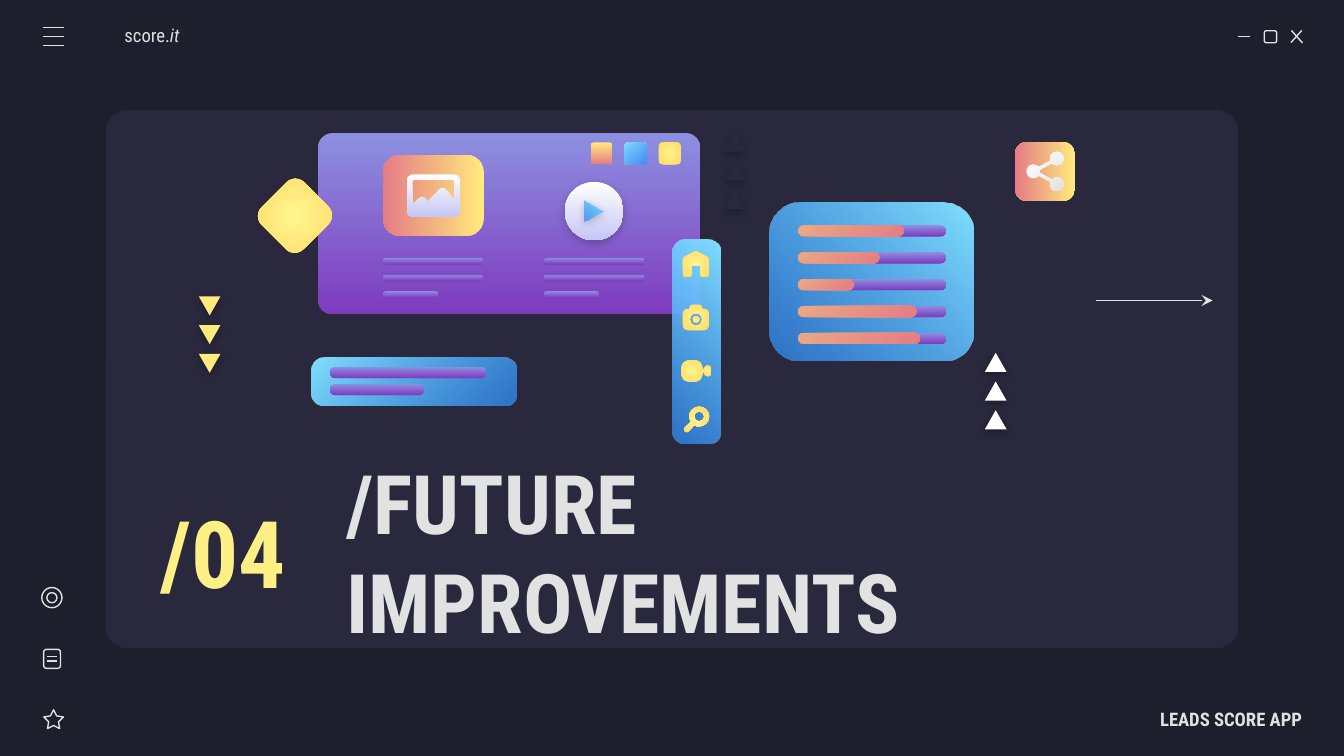
from lxml.etree import SubElement
from pptx import Presentation
from pptx.dml.color import RGBColor
from pptx.enum.shapes import MSO_CONNECTOR, MSO_SHAPE
from pptx.enum.text import MSO_ANCHOR, MSO_AUTO_SIZE, PP_ALIGN
from pptx.oxml.ns import qn
from pptx.util import Pt

COLORS = {"night": "1E1E2C", "panel": "29283D", "light": "E2E2E2", "lemon": "FFF086",
          "yellow": "FFEA7D", "white": "FFFFFF", "black": "000000"}
# Start colour, end colour, angle (None is radial), opacity of the end in percent
GRADIENTS = {
    "violet": ("8D90E1", "7E3BBE", 90, 100),
    "sunset": ("FFEA7D", "E57C85", 90, 100),
    "sky": ("80DFFF", "318FFA", 45, 72),
    "coral": ("E9A984", "E57C85", 45, 100),
    "gold": ("FFF68E", "FFD966", None, 100),
    "pearl": ("FFFFFF", "C5C7F4", 90, 100),
    "silver": ("FFFFFF", "E2E2E2", 45, 100),
}
FONT = "Roboto Condensed"


def paint(shape, fill=None, shadow=None):
    """Fill with a colour or gradient name; without a fill, draw a thin light outline."""
    shape.shadow.inherit = False
    if fill is None:
        shape.fill.background()
        shape.line.color.rgb = RGBColor.from_string(COLORS["light"])
        shape.line.width = Pt(0.75)
    else:
        shape.line.fill.background()
    if fill in COLORS:
        shape.fill.solid()
        shape.fill.fore_color.rgb = RGBColor.from_string(COLORS[fill])
    elif fill in GRADIENTS:
        start, end, angle, opacity = GRADIENTS[fill]
        shape.fill.gradient()
        gradient = shape._element.spPr.find(qn("a:gradFill"))
        for child in list(gradient):
            gradient.remove(child)
        stops = SubElement(gradient, qn("a:gsLst"))
        for position, color, alpha in ((0, start, 100), (100, end, opacity)):
            stop = SubElement(stops, qn("a:gs"), pos=str(position * 1000))
            tone = SubElement(stop, qn("a:srgbClr"), val=color)
            if alpha < 100:
                SubElement(tone, qn("a:alpha"), val=str(alpha * 1000))
        if angle is None:
            radial = SubElement(gradient, qn("a:path"), path="circle")
            SubElement(radial, qn("a:fillToRect"), l="50000", t="50000", r="50000", b="50000")
        else:
            SubElement(gradient, qn("a:lin"), ang=str(angle * 60000), scaled="0")
    if shadow:
        effects = shape._element.spPr.find(qn("a:effectLst"))
        outer = SubElement(effects, qn("a:outerShdw"), blurRad=str(Pt(4.5)), dist=str(Pt(1.5)),
                           dir="5400000", algn="ctr", rotWithShape="0")
        tone = SubElement(outer, qn("a:srgbClr"), val=COLORS[shadow])
        SubElement(tone, qn("a:alpha"), val="30000")


def place(preset, box, fill=None, corner=None, rotation=0, shadow=None):
    shape = shapes.add_shape(preset, *map(Pt, box))
    if corner is not None:
        shape.adjustments[0] = corner
    shape.rotation = rotation
    paint(shape, fill, shadow)
    return shape


presentation = Presentation()
presentation.slide_width, presentation.slide_height = Pt(720), Pt(405)
slide = presentation.slides.add_slide(presentation.slide_layouts[2])
shapes = slide.shapes
slide.background.fill.solid()
slide.background.fill.fore_color.rgb = RGBColor.from_string(COLORS["night"])

ROUND, TRIANGLE, OVAL = MSO_SHAPE.ROUNDED_RECTANGLE, MSO_SHAPE.ISOSCELES_TRIANGLE, MSO_SHAPE.OVAL

# Main panel, behind the placeholders
panel = place(ROUND, (56.7, 59, 606.6, 288.3), "panel", 0.04)
shapes._spTree.insert(2, panel._element)

# Window buttons and side icons
place(ROUND, (677.3, 16.5, 6.6, 6.4), corner=0.167)
place(MSO_SHAPE.STAR_5_POINT, (23.5, 380.3, 10.5, 10.1), corner=0.254)
place(ROUND, (23.4, 347.9, 9, 10.2), corner=0.167)
for diameter in (10.8, 5.4):
    place(OVAL, (27.8 - diameter / 2, 320.2 - diameter / 2, diameter, diameter))

strokes = [(663, 19.6, 669.6, 19.6), (691.8, 16.3, 697.8, 23), (697.4, 16.3, 691.6, 22.8)]
strokes += [(23.3, y, 34.1, y) for y in (14.6, 19.5, 24.4)]
strokes += [(25.2, y, 30.4, y) for y in (351.6, 354.2)]
strokes += [(587, 161, 649.6, 161)]
for stroke in strokes:
    line = shapes.add_connector(MSO_CONNECTOR.STRAIGHT, *map(Pt, stroke))
    line.line.color.rgb = RGBColor.from_string(COLORS["light"])
    line.line.width = Pt(0.75)
    SubElement(line._element.spPr, qn("a:effectLst"))
# The last stroke is the arrow
SubElement(line.line._get_or_add_ln(), qn("a:tailEnd"), type="stealth")

# Browser card
place(ROUND, (170.5, 71.3, 204.6, 97), "violet", 0.079)
place(ROUND, (210.6, 77.7, 43.2, 54), "sunset", 0.211, 90)
place(OVAL, (302.6, 97.4, 31.4, 31.4), "pearl", shadow="night")
place(TRIANGLE, (312.4, 107.9, 11.6, 10.2), "sky", rotation=90, shadow="black")
for column, fill in enumerate(("sunset", "sky", "gold")):
    place(ROUND, (316.4 + 18.3 * column, 76.3, 11.7, 11.7), fill, 0.154)
for left in (205.2, 291.5):
    for row, width in enumerate((53.8, 53.8, 29.5)):
        place(ROUND, (left, 138.2 + 8.9 * row, width, 3.6), "violet", 0.5)

# Columns of triangles
for left, top, fill, rotation in ((106.5, 158.8, "yellow", 180), (527.6, 189, "white", 0),
                                  (388, 71, "panel", 0)):
    for row in range(3):
        place(TRIANGLE, (left, top + 15.4 * row, 11.6, 10.2), fill, rotation=rotation, shadow="black")

# Search bar
place(ROUND, (167.1, 191.4, 109.7, 26), "sky", 0.252)
for top, width in ((196.6, 83.8), (205.7, 50.4)):
    place(ROUND, (176.8, top, width, 6), "violet", 0.5)

# Progress list
place(ROUND, (424.6, 96.2, 84.4, 109.6), "sky", 0.187, 90)
for row, progress in enumerate((56.8, 43.7, 29.9, 63.6, 65.4)):
    for width, fill in ((79.4, "violet"), (progress, "coral")):
        place(ROUND, (427.4, 120.7 + 14.4 * row, width, 6), fill, 0.5)

# Diamond, toolbar and share tile
place(ROUND, (142.2, 99.5, 31.7, 32.2), "gold", 0.211, 45)
place(ROUND, (318.2, 170, 109.7, 26), "sky", 0.252, 90)
place(ROUND, (544, 75.8, 31.7, 32.2), "sunset", 0.211, 90)
place(OVAL, (371.1, 169.3, 3.6, 3.6), "gold")

# Icons: left, top, fill, outline of moves, lines and cubic curves
home = """M 6.9 0 L 13.2 3.2 C 13.6 3.4 13.9 3.7 13.9 4.1 L 13.9 13 C 13.9 13.6 13.6 13.9 13 13.9
L 10.2 13.9 C 9.7 13.9 9.4 13.6 9.4 13 L 9.4 8.4 C 9.4 8 9.2 7.8 8.8 7.8 L 5.1 7.8
C 4.7 7.8 4.5 8 4.5 8.4 L 4.5 13 C 4.5 13.6 4.2 13.9 3.7 13.9 L 0.9 13.9
C 0.3 13.9 0 13.6 0 13 L 0 4.1 C 0 3.7 0.3 3.4 0.7 3.2"""
camera = """M 7 4.4 C 8.8 4.4 10.3 5.9 10.3 7.7 C 10.3 9.5 8.8 11 7 11 C 5.2 11 3.7 9.5 3.7 7.7
C 3.7 5.9 5.2 4.4 7 4.4 M 4.8 0 C 4.4 0 4.1 0.2 4 0.5 L 3.3 2.2 L 2.2 2.2 C 1 2.2 0 3.2 0 4.4
L 0 11.2 C 0 12.4 1 13.4 2.2 13.4 L 11.7 13.4 C 12.9 13.4 13.9 12.4 13.9 11.2 L 13.9 4.4
C 13.9 3.2 12.9 2.2 11.7 2.2 L 10.6 2.2 L 9.9 0.5 C 9.8 0.2 9.5 0 9.1 0"""
video = """M 5.8 0 C 4.8 0 3.7 0.2 2.7 0.5 C 1.6 0.8 0.8 1.6 0.5 2.7 C -0.2 4.8 -0.2 6.9 0.5 9
C 0.8 10.1 1.6 10.9 2.7 11.2 C 3.7 11.5 4.8 11.7 5.8 11.7 C 6.8 11.7 7.9 11.5 8.9 11.2
C 10 10.9 10.8 10.1 11.1 9 C 11.8 6.9 11.8 4.8 11.1 2.7 C 10.8 1.6 10 0.8 8.9 0.5
C 7.9 0.2 6.8 0 5.8 0"""
viewfinder = """M 2.4 0 C 2.2 0 2 0 1.8 0.1 L 1 0.7 C 0.4 1 0 1.5 0 2.1 L 0 3.8
C 0 4.4 0.4 4.9 1 5.2 L 1.8 5.7 C 2 5.8 2.2 5.9 2.4 5.9 C 3.2 5.9 3.9 5.4 3.9 4.8 L 3.9 1.1
C 3.9 0.5 3.2 0 2.4 0"""
magnifier = """M 8.5 2.6 C 10 2.6 11.2 3.8 11.2 5.3 C 11.2 6.8 10 8 8.5 8 C 7 8 5.8 6.8 5.8 5.3
C 5.8 3.8 7 2.6 8.5 2.6 M 8.5 0 C 7.1 0 5.7 0.5 4.7 1.6 C 2.9 3.4 2.7 6.2 4.1 8.2 L 0.4 11.6
C 0 12 0 12.6 0.4 13 L 1.2 13.7 C 1.6 14 2.1 14 2.5 13.7 L 5.8 10 C 6.6 10.5 7.6 10.7 8.5 10.7
C 11.5 10.7 13.9 8.3 13.9 5.3 C 13.9 2.4 11.5 0 8.5 0"""
landscape = """M 24.6 2.9 C 25.2 2.9 25.6 3.2 25.6 3.6 L 25.6 14 L 21 8.5 C 19.8 7.2 18.2 7.2 17 8.5
L 11.5 14.6 L 9.9 13 C 8.8 11.9 7.6 11.9 6.5 13 L 2.8 16.6 L 2.8 3.6 C 2.8 3.2 3.2 2.9 3.8 2.9
M 3.4 0 C 1.5 0 0 1.5 0 3.4 L 0 19.4 C 0 21.4 1.5 22.9 3.4 22.9 L 25 22.9
C 26.9 22.9 28.4 21.4 28.4 19.4 L 28.4 3.4 C 28.4 1.5 26.9 0 25 0"""
share = """M 16.2 0 C 14.2 0 12.6 1.6 12.6 3.6 C 12.6 4 12.7 4.4 12.8 4.8 L 6.5 8.2
C 5.8 7.4 4.8 6.9 3.6 6.9 C 1.6 6.9 0 8.5 0 10.5 C 0 12.5 1.6 14.1 3.6 14.1
C 4.8 14.1 5.8 13.6 6.5 12.8 L 12.8 16.2 C 12.7 16.6 12.6 17 12.6 17.4
C 12.6 19.4 14.2 21 16.2 21 C 18.2 21 19.8 19.4 19.8 17.4 C 19.8 15.4 18.2 13.8 16.2 13.8
C 15.2 13.8 14.2 14.2 13.6 14.9 L 7.1 11.4 C 7.2 10.8 7.2 10.2 7.1 9.6 L 13.6 6.1
C 14.2 6.8 15.2 7.2 16.2 7.2 C 18.2 7.2 19.8 5.6 19.8 3.6 C 19.8 1.6 18.2 0 16.2 0"""
for left, top, fill, outline in (
        (365.9, 134.5, "gold", home), (365.9, 163.4, "gold", camera),
        (364.9, 192.9, "gold", video), (376.9, 195.8, "gold", viewfinder),
        (366.1, 217.8, "gold", magnifier), (218, 93.4, "pearl", landscape),
        (550, 81.3, "silver", share)):
    builder, segment_sizes = None, []
    for contour in outline.split("M")[1:]:
        segments = [part.split() for part in contour.replace("L", "|").replace("C", "|").split("|")]
        points = [(Pt(left + float(x)), Pt(top + float(y)))
                  for numbers in segments for x, y in zip(numbers[::2], numbers[1::2])]
        segment_sizes += [len(numbers) // 2 for numbers in segments[1:]]
        if builder is None:
            builder = shapes.build_freeform(*points[0])
        else:
            builder.move_to(*points[0])
        builder.add_line_segments(points[1:], close=True)
    icon = builder.convert_to_shape()
    # Join each run of three points into one cubic curve
    steps = iter(list(icon._element.spPr.iter(qn("a:lnTo"))))
    for size in segment_sizes:
        group = [next(steps) for _ in range(size)]
        if size == 3:
            curve = group[0].makeelement(qn("a:cubicBezTo"))
            group[0].addprevious(curve)
            for step in group:
                curve.append(step[0])
                step.getparent().remove(step)
    paint(icon, fill)

# Text: holder, box, left and right inset, alignment, size, colour, bold, runs with italic flag
brand, footer = (shapes.add_textbox(0, 0, 0, 0) for _ in range(2))
for holder, box, insets, align, size, color, bold, runs in (
        (shapes.title, (178.4, 263.9, 467.3, 62.6), (7.2, 7.2), PP_ALIGN.LEFT, 44, "light", True,
         [("/FUTURE IMPROVEMENTS", False)]),
        (slide.placeholders[1], (78.8, 263.9, 99.4, 62.6), (7.2, 7.2), PP_ALIGN.LEFT, 50, "lemon", True,
         [("/04", False)]),
        (brand, (66.7, 8.2, 84.2, 21.6), (0, 7.2), PP_ALIGN.LEFT, 10, "light", False,
         [("score.", False), ("it", True)]),
        (footer, (613.3, 374.3, 84.2, 21.6), (7.2, 0), PP_ALIGN.RIGHT, 10, "light", True,
         [("LEADS SCORE APP", False)])):
    holder.left, holder.top, holder.width, holder.height = map(Pt, box)
    frame = holder.text_frame
    frame.word_wrap, frame.auto_size = True, MSO_AUTO_SIZE.NONE
    frame.vertical_anchor = MSO_ANCHOR.MIDDLE
    frame.margin_left, frame.margin_right = map(Pt, insets)
    frame.margin_top = frame.margin_bottom = Pt(7.2)
    paragraph = frame.paragraphs[0]
    paragraph.alignment, paragraph.space_before = align, Pt(0)
    for words, italic in runs:
        run = paragraph.add_run()
        run.text = words
        run.font.name, run.font.size = FONT, Pt(size)
        run.font.bold, run.font.italic = bold, italic
        run.font.color.rgb = RGBColor.from_string(COLORS[color])

presentation.save("out.pptx")
